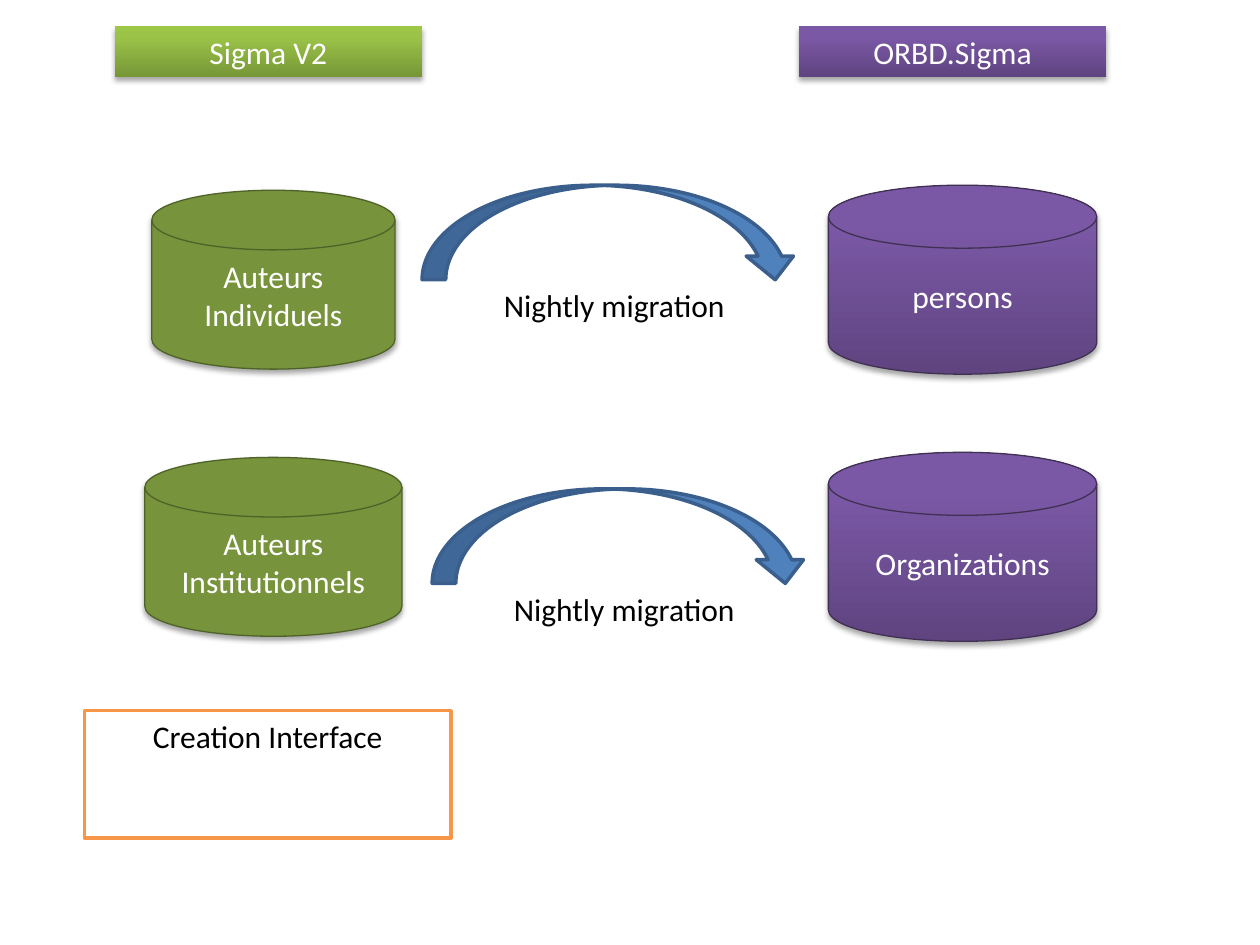
import copy

import lxml.etree
import pptx
import pptx.dml.color
import pptx.enum.shapes
import pptx.enum.text
import pptx.oxml.ns
import pptx.util

RGBColor = pptx.dml.color.RGBColor
Inches = pptx.util.Inches
Shape = pptx.enum.shapes.MSO_SHAPE
Anchor = pptx.enum.text.MSO_ANCHOR
Align = pptx.enum.text.PP_ALIGN
qn = pptx.oxml.ns.qn

WHITE = RGBColor(0xFF, 0xFF, 0xFF)
BLACK = RGBColor(0x00, 0x00, 0x00)
GREEN = RGBColor(0x77, 0x93, 0x3C)
GREEN_LINE = RGBColor(0x4F, 0x62, 0x28)
PURPLE_LINE = RGBColor(0x40, 0x31, 0x52)
ORANGE = RGBColor(0xF7, 0x96, 0x46)
BLUE = RGBColor(0x4F, 0x81, 0xBD)
BLUE_LINE = RGBColor(0x3A, 0x5F, 0x8C)
# Gradient colours run from the bottom edge to the top edge
GREEN_GRADIENT = (RGBColor(0x77, 0x97, 0x37), RGBColor(0x9B, 0xC3, 0x48), RGBColor(0x9D, 0xC7, 0x46))
PURPLE_GRADIENT = (RGBColor(0x5F, 0x44, 0x80), RGBColor(0x7B, 0x58, 0xA6), RGBColor(0x7C, 0x57, 0xA8))
GRADIENT_POSITIONS = (0, 0.8, 1)

# Grid: centres of the two database columns and rows
LEFT_CENTRE, RIGHT_CENTRE = 2.17, 7.64
ROW_CENTRES = (2.22, 4.34)
HEADER_SIZE = (2.44, 0.4)
HEADER_TOP = 0.21
ARROW_SIZE = (2.99, 0.75)
LABEL_SIZE = (2.05, 0.4)


def set_text(shape, text, color=WHITE, size=18, align=Align.CENTER, anchor=Anchor.MIDDLE):
    frame = shape.text_frame
    frame.word_wrap = True
    frame.vertical_anchor = anchor
    paragraph = frame.paragraphs[0]
    paragraph.alignment = align
    run = paragraph.add_run()
    run.text = text
    run.font.name = "Calibri"
    run.font.size = pptx.util.Pt(size)
    run.font.color.rgb = color


def set_fill(shape, fill):
    """Fill with one colour, or with a vertical gradient for a series of colours."""
    if isinstance(fill, RGBColor):
        shape.fill.solid()
        shape.fill.fore_color.rgb = fill
        return
    shape.fill.gradient()
    shape.fill.gradient_angle = 90
    stops = shape._element.spPr.find(qn("a:gradFill")).find(qn("a:gsLst"))
    stops.append(copy.deepcopy(stops[-1]))
    for stop, color, position in zip(shape.fill.gradient_stops, fill, GRADIENT_POSITIONS):
        stop.color.rgb = color
        stop.position = position


def add_shadow(shape):
    effects = shape._element.spPr.find(qn("a:effectLst"))
    shadow = lxml.etree.SubElement(
        effects, qn("a:outerShdw"), blurRad=str(pptx.util.Pt(3.1)),
        dist=str(pptx.util.Pt(1.8)), dir="5400000", rotWithShape="0")
    color = lxml.etree.SubElement(shadow, qn("a:srgbClr"), val=str(BLACK))
    lxml.etree.SubElement(color, qn("a:alpha"), val="35000")


def add_box(slide, kind, left, top, size, fill, line=None, line_width=0.75, shadow=False):
    shape = slide.shapes.add_shape(kind, *map(Inches, (left, top, *size)))
    shape.shadow.inherit = False
    set_fill(shape, fill)
    if line is None:
        shape.line.fill.background()
    else:
        shape.line.color.rgb = line
        shape.line.width = pptx.util.Pt(line_width)
    if shadow:
        add_shadow(shape)
    return shape


def add_header(slide, text, left, fill):
    header = add_box(slide, Shape.RECTANGLE, left, HEADER_TOP, HEADER_SIZE, fill, shadow=True)
    set_text(header, text, anchor=Anchor.TOP)


def add_database(slide, text, centre, row, size, fill, line):
    left, top = centre - size[0] / 2, ROW_CENTRES[row] - size[1] / 2
    disk = add_box(slide, Shape.FLOWCHART_MAGNETIC_DISK, left, top, size, fill, line, shadow=True)
    set_text(disk, text)


def add_migration(slide, left, top):
    add_box(slide, Shape.CURVED_DOWN_ARROW, left, top, ARROW_SIZE, BLUE, BLUE_LINE, 2)
    label = slide.shapes.add_textbox(
        *map(Inches, (left + 0.55, top + ARROW_SIZE[1], *LABEL_SIZE)))
    set_text(label, "Nightly migration", color=BLACK, align=Align.LEFT, anchor=Anchor.TOP)


def main():
    presentation = pptx.Presentation()
    presentation.slide_width, presentation.slide_height = Inches(10), Inches(7.5)
    slide = presentation.slides.add_slide(presentation.slide_layouts[6])

    # System headers
    add_header(slide, "Sigma V2", 0.91, GREEN_GRADIENT)
    add_header(slide, "ORBD.Sigma", 6.34, PURPLE_GRADIENT)

    # Source databases
    for row, (text, width) in enumerate((("Auteurs Individuels", 1.93),
                                         ("Auteurs Institutionnels", 2.04))):
        add_database(slide, text, LEFT_CENTRE, row, (width, 1.42), GREEN, GREEN_LINE)

    # Target databases
    for row, text in enumerate(("persons", "Organizations")):
        add_database(slide, text, RIGHT_CENTRE, row, (2.13, 1.5), PURPLE_GRADIENT, PURPLE_LINE)

    # Creation interface
    interface = add_box(slide, Shape.RECTANGLE, 0.67, 5.64, (2.91, 1.01), WHITE, ORANGE, 2)
    set_text(interface, "Creation Interface", color=BLACK, anchor=Anchor.TOP)

    # Migration arrows with their labels
    for left, top in ((3.35, 1.47), (3.43, 3.88)):
        add_migration(slide, left, top)

    presentation.save("out.pptx")


if __name__ == "__main__":
    main()
